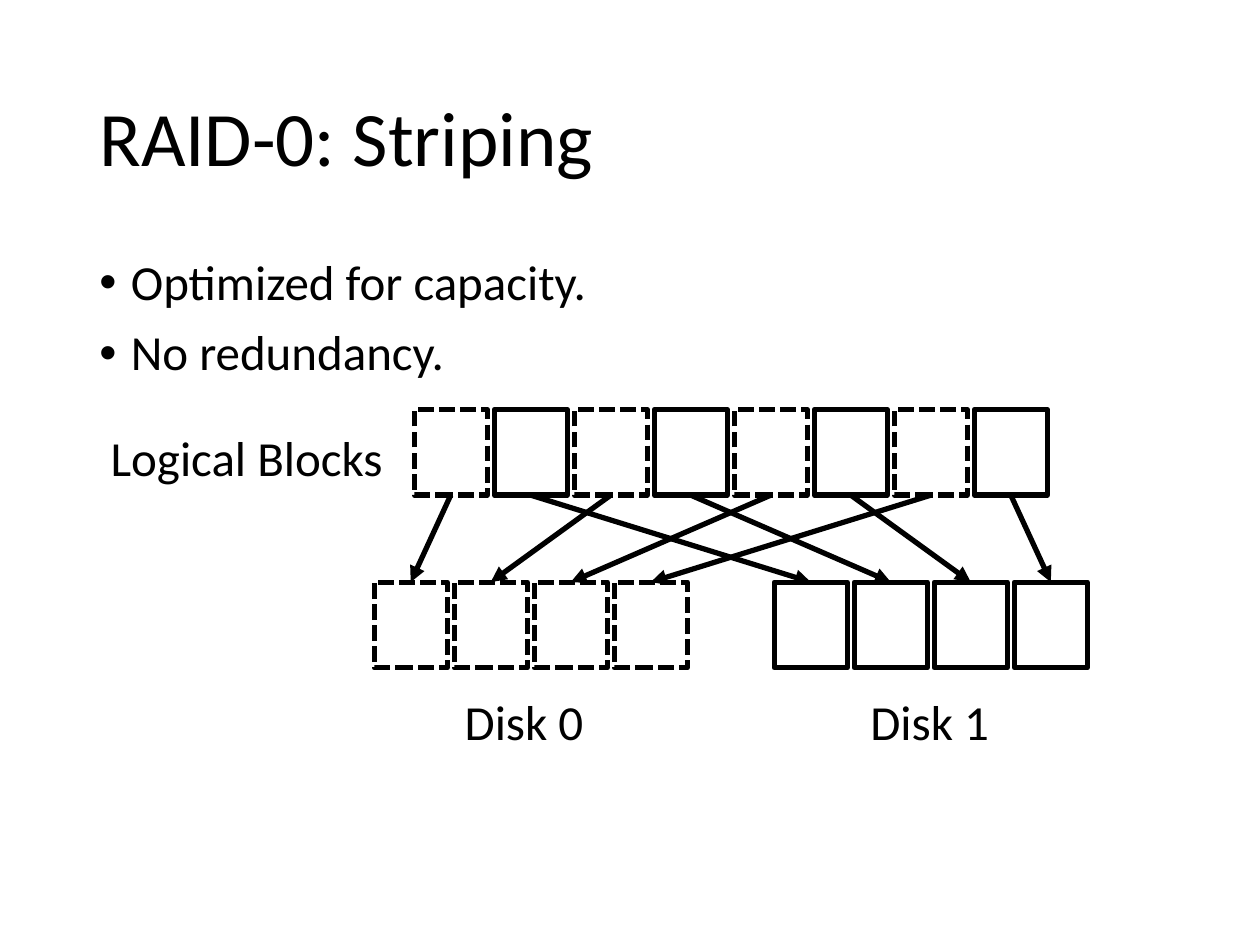
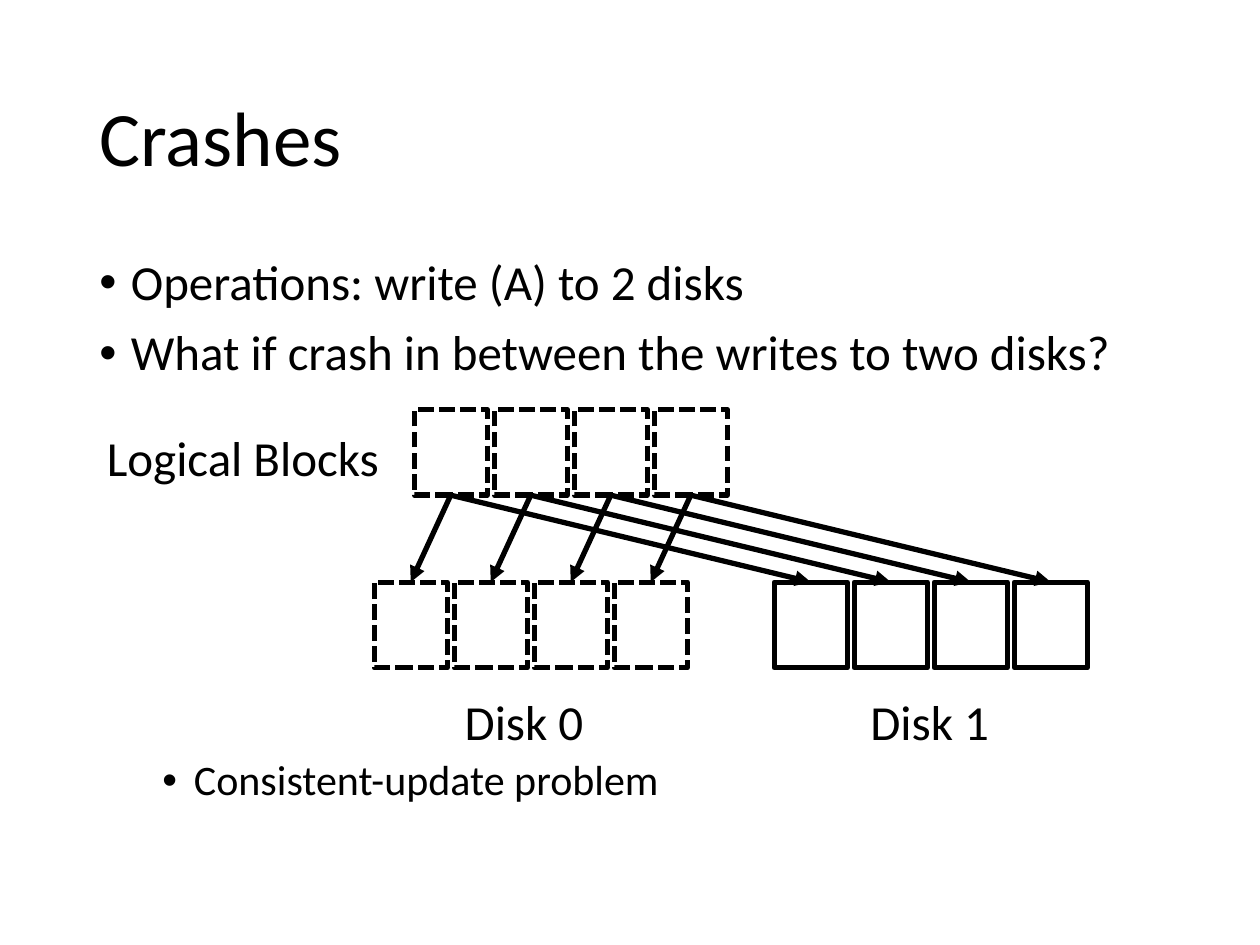
from dataclasses import dataclass

from lxml.etree import SubElement
from pptx import Presentation
from pptx.dml.color import RGBColor
from pptx.enum.dml import MSO_LINE
from pptx.enum.shapes import MSO_CONNECTOR, MSO_SHAPE
from pptx.enum.text import MSO_ANCHOR
from pptx.oxml.ns import qn
from pptx.util import Inches, Pt


@dataclass(frozen=True)
class Theme:
    """Colours, font and sizes shared by the slides."""
    ink: RGBColor = RGBColor(0, 0, 0)
    paper: RGBColor = RGBColor(255, 255, 255)
    font: str = "Calibri"
    title_size: int = 44
    body_size: int = 28
    detail_size: int = 24
    line_width: int = 3
    line_spacing: float = 0.9


# Block grid, in inches
BLOCK_WIDTH, BLOCK_HEIGHT = 0.58, 0.68
PITCH = 1.27 / 2
DISK_LEFTS = (2.97, 2.97 + 5 * PITCH)
LOGICAL_LEFT = DISK_LEFTS[0] + PITCH / 2
LOGICAL_TOP, DISK_TOP = 3.25, 4.62
SLOTS = 4


class Deck:
    """Holds the presentation, its theme and the current slide."""

    def __init__(self, theme):
        """Start an empty 4:3 presentation."""
        self.theme = theme
        self.presentation = Presentation()
        self.presentation.slide_width = Inches(10)
        self.presentation.slide_height = Inches(7.5)
        self.slide = None

    def add_slide(self, title):
        """Add a blank slide with its title."""
        layout = self.presentation.slide_layouts[6]
        self.slide = self.presentation.slides.add_slide(layout)
        fill = self.slide.background.fill
        fill.solid()
        fill.fore_color.rgb = self.theme.paper
        self.text([title], 0.69, 0.4, 8.62, 1.45, self.theme.title_size,
                  anchor=MSO_ANCHOR.MIDDLE)

    def text(self, lines, left, top, width, height, size,
             anchor=MSO_ANCHOR.TOP, bullet=False, space_before=0):
        """Add a text box with one paragraph per line."""
        box = self.slide.shapes.add_textbox(
            Inches(left), Inches(top), Inches(width), Inches(height))
        frame = box.text_frame
        frame.word_wrap = True
        frame.vertical_anchor = anchor
        for index, line in enumerate(lines):
            paragraph = frame.add_paragraph() if index else frame.paragraphs[0]
            paragraph.line_spacing = self.theme.line_spacing
            paragraph.space_before = Pt(space_before)
            if bullet:
                self.add_bullet(paragraph)
            run = paragraph.add_run()
            run.text = line
            run.font.name = self.theme.font
            run.font.size = Pt(size)
            run.font.color.rgb = self.theme.ink

    def add_bullet(self, paragraph):
        """Give a paragraph a hanging round bullet."""
        properties = paragraph._p.get_or_add_pPr()
        properties.set("marL", str(Inches(0.25)))
        properties.set("indent", str(Inches(-0.25)))
        SubElement(properties, qn("a:buFont"), typeface="Arial")
        SubElement(properties, qn("a:buChar"), char="•")

    def bullets(self, lines):
        """Add the main bullet list."""
        self.text(lines, 0.69, 2, 8.62, 1.2, self.theme.body_size,
                  bullet=True, space_before=10)

    def label(self, text, left, top, width):
        """Add a one-line diagram label."""
        self.text([text], left, top, width, 0.53, self.theme.body_size)

    def style_line(self, line):
        """Apply the shared stroke."""
        line.color.rgb = self.theme.ink
        line.width = Pt(self.theme.line_width)

    def block(self, left, top, dashed):
        """Add one outlined block."""
        shape = self.slide.shapes.add_shape(
            MSO_SHAPE.RECTANGLE, Inches(left), Inches(top),
            Inches(BLOCK_WIDTH), Inches(BLOCK_HEIGHT))
        shape.shadow.inherit = False
        shape.fill.background()
        self.style_line(shape.line)
        if dashed:
            shape.line.dash_style = MSO_LINE.SQUARE_DOT

    def arrow(self, block, disk, slot):
        """Link a logical block to a slot on a disk."""
        start = LOGICAL_LEFT + block * PITCH + BLOCK_WIDTH / 2
        end = DISK_LEFTS[disk] + slot * PITCH + BLOCK_WIDTH / 2
        connector = self.slide.shapes.add_connector(
            MSO_CONNECTOR.STRAIGHT,
            Inches(start), Inches(LOGICAL_TOP + BLOCK_HEIGHT),
            Inches(end), Inches(DISK_TOP))
        self.style_line(connector.line)
        SubElement(connector.line._get_or_add_ln(), qn("a:tailEnd"),
                   type="triangle")
        SubElement(connector._element.spPr, qn("a:effectLst"))

    def diagram(self, dashed_blocks, links, label_left):
        """Draw logical blocks, two disks and the links between them."""
        self.label("Logical Blocks", label_left, 3.4, 2.45)
        for index, dashed in enumerate(dashed_blocks):
            self.block(LOGICAL_LEFT + index * PITCH, LOGICAL_TOP, dashed)
        for disk, (left, label_x) in enumerate(zip(DISK_LEFTS, (3.59, 6.81))):
            for slot in range(SLOTS):
                self.block(left + slot * PITCH, DISK_TOP, disk == 0)
            self.label(f"Disk {disk}", label_x, 5.49, 1.3)
        for link in links:
            self.arrow(*link)


def build_striping(deck):
    """Blocks alternate between the two disks."""
    deck.add_slide("RAID-0: Striping")
    deck.bullets(["Optimized for capacity.", "No redundancy."])
    blocks = range(2 * SLOTS)
    deck.diagram([block % 2 == 0 for block in blocks],
                 [(block, block % 2, block // 2) for block in blocks], 0.78)


def build_crashes(deck):
    """Every block is written to both disks."""
    deck.add_slide("Crashes")
    deck.bullets(["Operations: write (A) to 2 disks",
                  "What if crash in between the writes to two disks?"])
    deck.diagram([True] * SLOTS,
                 [(block, disk, block) for block in range(SLOTS)
                  for disk in range(2)], 0.75)
    deck.text(["Consistent-update problem"], 1.19, 5.98, 8.12, 0.5,
              deck.theme.detail_size, bullet=True)


deck = Deck(Theme())
build_striping(deck)
build_crashes(deck)
deck.presentation.save("out.pptx")
